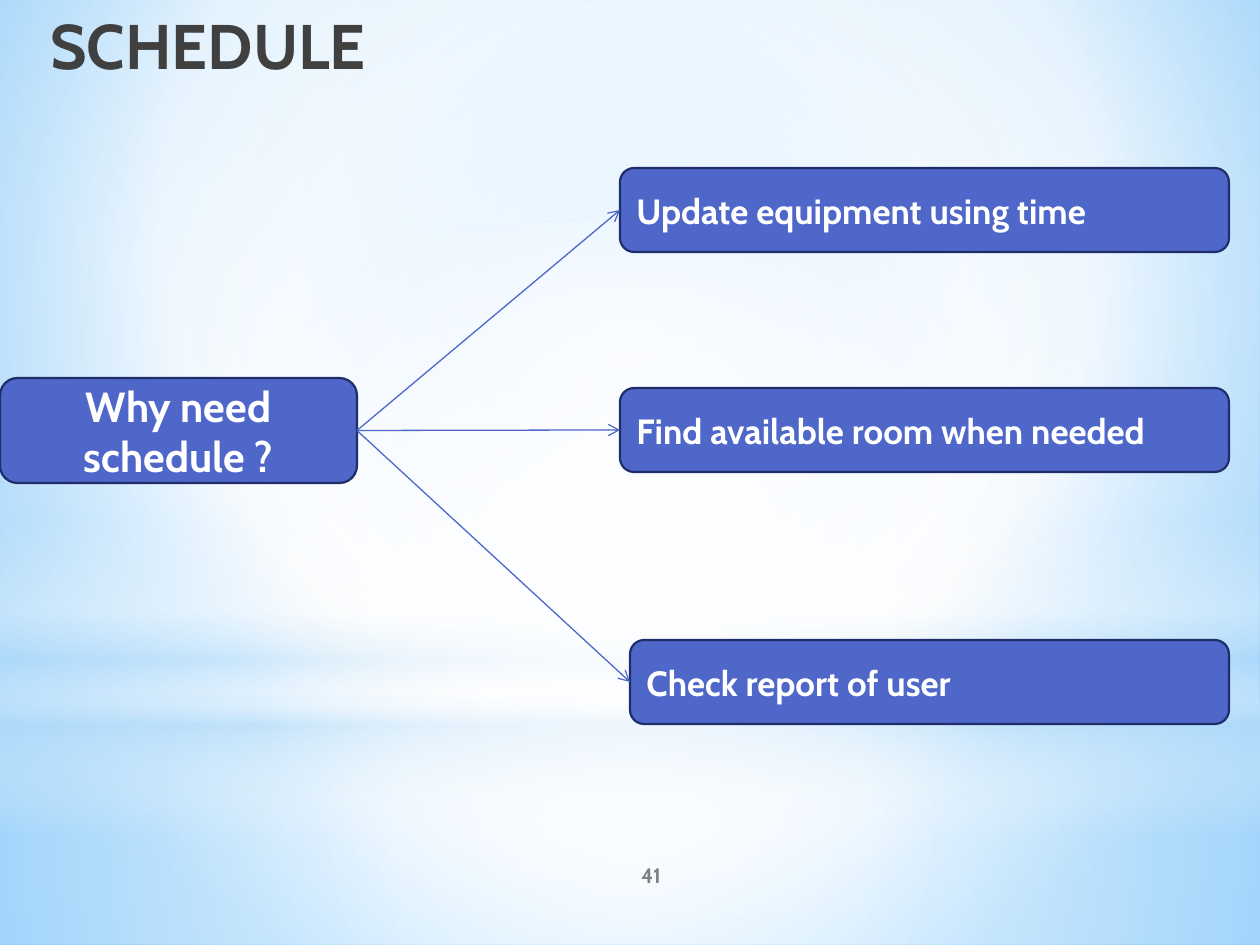
from lxml.etree import SubElement
from pptx import Presentation
from pptx.dml.color import RGBColor
from pptx.enum.shapes import MSO_CONNECTOR, MSO_SHAPE
from pptx.enum.text import MSO_ANCHOR, PP_ALIGN
from pptx.oxml.ns import qn
from pptx.util import Emu, Pt

SCALE = 914400 / 126
FONT = "Cabin"
LEFT_SITE, RIGHT_SITE = 1, 3
COLORS = {
    "white": "FFFFFF",
    "sky": "9ED5FF",
    "deep_sky": "5BB9FF",
    "mist": "B4DCFA",
    "box": "4E67C8",
    "outline": "1F2E69",
    "title": "404040",
    "number": "808080",
}
CENTER = (50, 50, 50, 50)
GLOWS = [
    (MSO_SHAPE.RECTANGLE, (0, 703, 1260, 242),
     [(0, "white", 91), (37, "white", 76), (100, "mist", 79)], CENTER),
    (MSO_SHAPE.RECTANGLE, (0, 0, 1260, 703),
     [(0, "white", 89), (48, "white", 62), (100, "mist", 79)], CENTER),
    (MSO_SHAPE.RECTANGLE, (0, 519, 1260, 315),
     [(0, "white", 0), (29, "white", 30), (45, "mist", 40),
      (55, "white", 26), (65, "mist", 60), (100, "white", 0)], None),
    (MSO_SHAPE.OVAL, (0, 220, 1260, 703),
     [(0, "white", 100), (56, "white", 0)], CENTER),
]
REASONS = [
    ("Update equipment using time", (620, 168, 609, 84)),
    ("Find available room when needed", (620, 388, 609, 84)),
    ("Check report of user", (630, 640, 599, 84)),
]


def px(value):
    return Emu(round(value * SCALE))


def color(name):
    return RGBColor.from_string(COLORS[name])


def set_gradient(fill, owner, stops, focus):
    fill.gradient()
    gradient = owner.find(".//" + qn("a:gradFill"))
    for child in list(gradient):
        gradient.remove(child)
    stop_list = SubElement(gradient, qn("a:gsLst"))
    for position, name, opacity in stops:
        stop = SubElement(stop_list, qn("a:gs"), pos=str(position * 1000))
        tint = SubElement(stop, qn("a:srgbClr"), val=COLORS[name])
        if opacity < 100:
            SubElement(tint, qn("a:alpha"), val=str(opacity * 1000))
    if focus:
        circle = SubElement(gradient, qn("a:path"), path="circle")
        sides = {side: str(share * 1000) for side, share in zip("ltrb", focus)}
        SubElement(circle, qn("a:fillToRect"), **sides)
    else:
        SubElement(gradient, qn("a:lin"), ang="5400000", scaled="0")


def add_glow(page, preset, place, stops, focus):
    glow = page.shapes.add_shape(preset, *map(px, place))
    glow.shadow.inherit = False
    glow.line.fill.background()
    set_gradient(glow.fill, glow.element, stops, focus)


def write(shape, text, size, tone, align, anchor=MSO_ANCHOR.MIDDLE):
    frame = shape.text_frame
    frame.text = text
    frame.word_wrap = True
    frame.vertical_anchor = anchor
    paragraph = frame.paragraphs[0]
    paragraph.alignment = align
    font = paragraph.runs[0].font
    font.name = FONT
    font.size = Pt(size)
    font.bold = True
    font.color.rgb = color(tone)


def add_label(page, place, *style):
    write(page.shapes.add_textbox(*map(px, place)), *style)


def add_box(page, place, text, size, align):
    box = page.shapes.add_shape(MSO_SHAPE.ROUNDED_RECTANGLE, *map(px, place))
    box.shadow.inherit = False
    box.fill.solid()
    box.fill.fore_color.rgb = color("box")
    box.line.color.rgb = color("outline")
    box.line.width = Pt(1.25)
    write(box, text, size, "white", align)
    return box


def add_arrow(page, start, end):
    arrow = page.shapes.add_connector(MSO_CONNECTOR.STRAIGHT, 0, 0, 0, 0)
    arrow.begin_connect(start, RIGHT_SITE)
    arrow.end_connect(end, LEFT_SITE)
    arrow.line.color.rgb = color("box")
    arrow.line.width = Pt(0.75)
    properties = arrow.element.spPr
    SubElement(properties.find(qn("a:ln")), qn("a:tailEnd"), type="arrow")
    SubElement(properties, qn("a:effectLst"))


def main():
    deck = Presentation()
    deck.slide_width, deck.slide_height = px(1260), px(945)
    page = deck.slides.add_slide(deck.slide_layouts[6])
    set_gradient(page.background.fill, page.element,
                 [(0, "sky", 100), (60, "white", 100), (100, "deep_sky", 100)],
                 (20, 10, 20, 60))
    for glow in GLOWS:
        add_glow(page, *glow)
    add_label(page, (525, 850, 252, 50), "41", 12, "number", PP_ALIGN.CENTER)
    question = add_box(page, (0, 378, 357, 105), "Why need schedule ?", 24,
                       PP_ALIGN.CENTER)
    reasons = [add_box(page, place, text, 20, PP_ALIGN.LEFT)
               for text, place in REASONS]
    for reason in reasons:
        add_arrow(page, question, reason)
    add_label(page, (0, 0, 378, 111), "SCHEDULE", 36, "title",
              PP_ALIGN.RIGHT, MSO_ANCHOR.TOP)
    deck.save("out.pptx")


if __name__ == "__main__":
    main()
